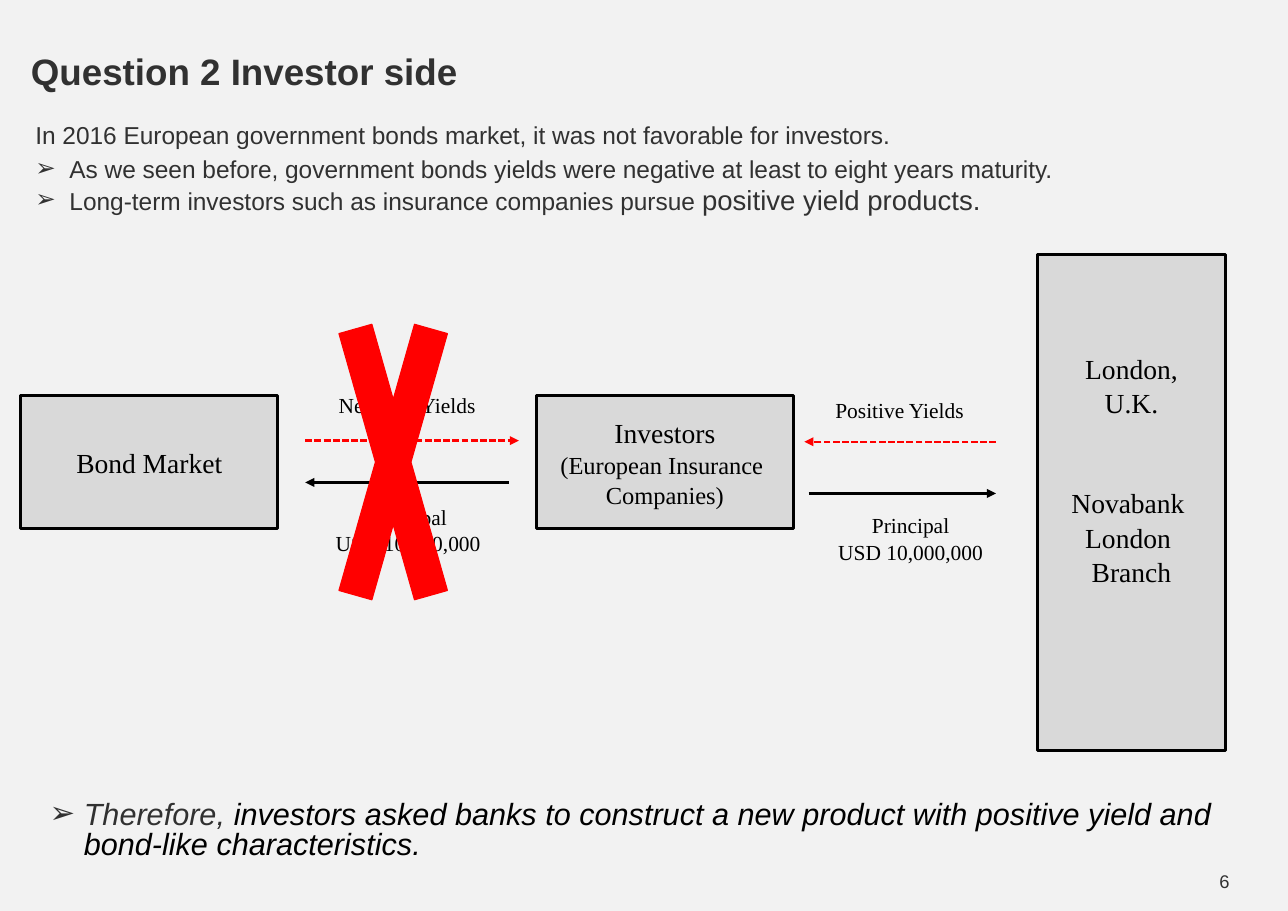
from dataclasses import dataclass

from lxml.etree import SubElement
from pptx import Presentation
from pptx.dml.color import RGBColor
from pptx.enum.dml import MSO_LINE
from pptx.enum.shapes import MSO_CONNECTOR, MSO_SHAPE
from pptx.enum.text import MSO_ANCHOR, MSO_AUTO_SIZE, PP_ALIGN
from pptx.oxml.ns import qn
from pptx.util import Inches, Pt

WIDTH, HEIGHT = Inches(11.69), Inches(8.27)
SANS, SERIF = "Arial", "Times New Roman"
BACKGROUND = RGBColor(0xF2, 0xF2, 0xF2)
BOX_GREY = RGBColor(0xD9, 0xD9, 0xD9)
DARK = RGBColor(0x31, 0x31, 0x31)
BLACK = RGBColor(0, 0, 0)
RED = RGBColor(0xFF, 0, 0)


@dataclass(frozen=True)
class Area:
    """Left, top, width and height as percent of the slide."""
    left: float
    top: float
    width: float
    height: float

    def lengths(self):
        return (across(self.left), down(self.top),
                across(self.width), down(self.height))


@dataclass(frozen=True)
class Line:
    text: str
    size: float
    space_before: float = 0


@dataclass(frozen=True)
class Caption:
    area: Area
    lines: tuple
    bottom_margin: float = 0.05


@dataclass(frozen=True)
class Arrow:
    start: float
    end: float
    row: float
    color: RGBColor
    dashed: bool


@dataclass(frozen=True)
class Run:
    text: str
    size: float
    color: RGBColor = DARK
    italic: bool = False


@dataclass(frozen=True)
class Item:
    runs: tuple
    bulleted: bool = True


def across(percent: float) -> int:
    return round(WIDTH * percent / 100)


def down(percent: float) -> int:
    return round(HEIGHT * percent / 100)


def format_run(run, font: str, size: float, color: RGBColor) -> None:
    run.font.name = font
    run.font.size = Pt(size)
    run.font.color.rgb = color


def set_margins(text_frame, inches: float) -> None:
    for side in ("left", "top", "right", "bottom"):
        setattr(text_frame, f"margin_{side}", Inches(inches))


def move_placeholder(shape, area: Area, margin: float):
    shape.left, shape.top, shape.width, shape.height = area.lengths()
    text_frame = shape.text_frame
    text_frame.word_wrap = True
    text_frame.auto_size = MSO_AUTO_SIZE.NONE
    text_frame.vertical_anchor = MSO_ANCHOR.TOP
    set_margins(text_frame, margin)
    return text_frame


def set_bullet(paragraph, bulleted: bool) -> None:
    properties = paragraph._p.get_or_add_pPr()
    indent = Inches(0.31) if bulleted else 0
    properties.set("marL", str(indent))
    properties.set("indent", str(-indent))
    if bulleted:
        color = SubElement(properties, qn("a:buClr"))
        SubElement(color, qn("a:srgbClr"), val=str(DARK))
        SubElement(properties, qn("a:buFont"), typeface=SANS)
        SubElement(properties, qn("a:buChar"), char="➢")
    else:
        SubElement(properties, qn("a:buNone"))


def fill_list(shape, area: Area, items: tuple) -> None:
    text_frame = move_placeholder(shape, area, 0.04)
    for index, item in enumerate(items):
        paragraph = text_frame.add_paragraph() if index else text_frame.paragraphs[0]
        set_bullet(paragraph, item.bulleted)
        paragraph.line_spacing = Pt(19.4)
        paragraph.space_before = Pt(2.3 if index else 0)
        for part in item.runs:
            run = paragraph.add_run()
            run.text = part.text
            format_run(run, SANS, part.size, part.color)
            run.font.italic = part.italic


def fill_caption(shape, caption: Caption) -> None:
    text_frame = shape.text_frame
    text_frame.word_wrap = True
    text_frame.vertical_anchor = MSO_ANCHOR.MIDDLE
    text_frame.margin_bottom = Inches(caption.bottom_margin)
    text_frame.text = "\n".join(line.text for line in caption.lines)
    for paragraph, line in zip(text_frame.paragraphs, caption.lines):
        paragraph.alignment = PP_ALIGN.CENTER
        paragraph.line_spacing = 1.04
        paragraph.space_before = Pt(line.space_before)
        format_run(paragraph.runs[0], SERIF, line.size, BLACK)


def add_shape(slide, kind, area: Area, fill: RGBColor, line: RGBColor, width: float):
    shape = slide.shapes.add_shape(kind, *area.lengths())
    shape.shadow.inherit = False
    shape.fill.solid()
    shape.fill.fore_color.rgb = fill
    shape.line.color.rgb = line
    shape.line.width = Pt(width)
    return shape


def add_arrow(slide, arrow: Arrow) -> None:
    row = down(arrow.row)
    connector = slide.shapes.add_connector(
        MSO_CONNECTOR.STRAIGHT, across(arrow.start), row, across(arrow.end), row)
    connector.line.color.rgb = arrow.color
    connector.line.width = Pt(1.5)
    if arrow.dashed:
        connector.line.dash_style = MSO_LINE.SQUARE_DOT
    SubElement(connector.line._get_or_add_ln(), qn("a:tailEnd"), type="triangle")
    SubElement(connector._element.spPr, qn("a:effectLst"))


INTRODUCTION = (
    Item((Run("In 2016 European government bonds market, it was not favorable for investors.", 16),), False),
    Item((Run("As we seen before, government bonds yields were negative at least to eight years maturity.", 16),)),
    Item((Run("Long-term investors such as insurance companies pursue ", 16),
          Run("positive yield products.", 18))),
)
CONCLUSION = (
    Item((Run("Therefore, ", 20, DARK, True),
          Run("investors asked banks to construct a new product with positive yield and "
              "bond-like characteristics.", 20, BLACK, True))),
)
PARTIES = (
    Caption(Area(1.63, 43.41, 19.93, 14.63), (Line("Bond Market", 18),)),
    Caption(Area(41.66, 43.41, 19.93, 14.63),
            (Line("Investors", 18), Line("(European Insurance ", 16), Line("Companies)", 16))),
    Caption(Area(80.58, 27.93, 14.54, 54.41),
            (Line("London,", 18), Line("U.K.", 18), Line("Novabank ", 18, 43),
             Line("London ", 18), Line("Branch", 18)), 0.65),
)
PRINCIPAL = (Line("Principal", 14), Line("USD 10,000,000", 14))
LABELS = (
    Caption(Area(22.5, 40.39, 18.22, 7.98), (Line("Negative Yields", 14),)),
    Caption(Area(21.81, 54.17, 19.76, 7.86), PRINCIPAL),
    Caption(Area(60.74, 40.99, 18.22, 7.98), (Line("Positive Yields", 14),)),
    Caption(Area(60.82, 55.14, 19.76, 7.86), PRINCIPAL),
)
ARROWS = (
    Arrow(23.7, 40.29, 48.37, RED, True),
    Arrow(39.52, 23.7, 52.96, BLACK, False),
    Arrow(77.33, 62.45, 48.49, RED, True),
    Arrow(62.79, 77.33, 54.17, BLACK, False),
)


def main() -> None:
    presentation = Presentation()
    presentation.slide_width, presentation.slide_height = WIDTH, HEIGHT
    slide = presentation.slides.add_slide(presentation.slide_layouts[3])
    slide.background.fill.solid()
    slide.background.fill.fore_color.rgb = BACKGROUND

    # Title and lists
    title, introduction, conclusion = slide.placeholders
    text_frame = move_placeholder(title, Area(2.4, 4.84, 92.39, 7.26), 0)
    text_frame.text = "Question 2 Investor side"
    heading = text_frame.paragraphs[0]
    heading.alignment = PP_ALIGN.LEFT
    heading.line_spacing = 1.1
    format_run(heading.runs[0], SANS, 24, DARK)
    heading.runs[0].font.bold = True
    fill_list(introduction, Area(2.4, 12.7, 93.07, 11.37), INTRODUCTION)
    fill_list(conclusion, Area(3.51, 87.55, 93.07, 7.38), CONCLUSION)

    # Parties and the flows between them
    for party in PARTIES:
        fill_caption(add_shape(slide, MSO_SHAPE.RECTANGLE, party.area, BOX_GREY, BLACK, 2), party)
    for label in LABELS:
        fill_caption(slide.shapes.add_textbox(*label.area.lengths()), label)
    for arrow in ARROWS:
        add_arrow(slide, arrow)

    # Cross over the negative yield deal
    add_shape(slide, MSO_SHAPE.MATH_MULTIPLY, Area(24.89, 22.61, 11.29, 56.23), RED, RED, 0.75)

    # Page number
    page_number = slide.shapes.add_textbox(*Area(93.84, 94.92, 5.39, 3.63).lengths())
    page_number.text_frame.text = "6"
    format_run(page_number.text_frame.paragraphs[0].runs[0], SANS, 12, DARK)

    presentation.save("out.pptx")


if __name__ == "__main__":
    main()
